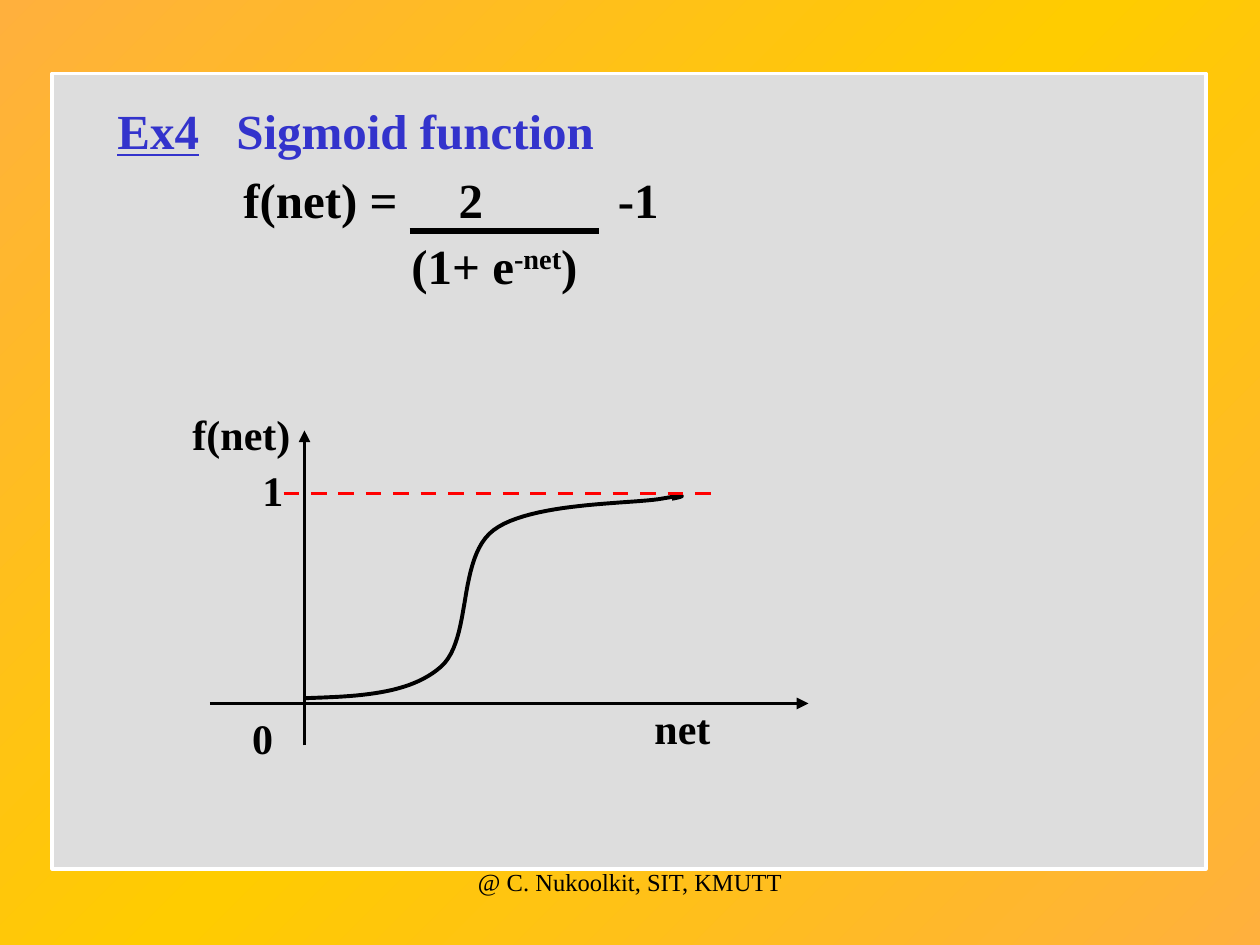
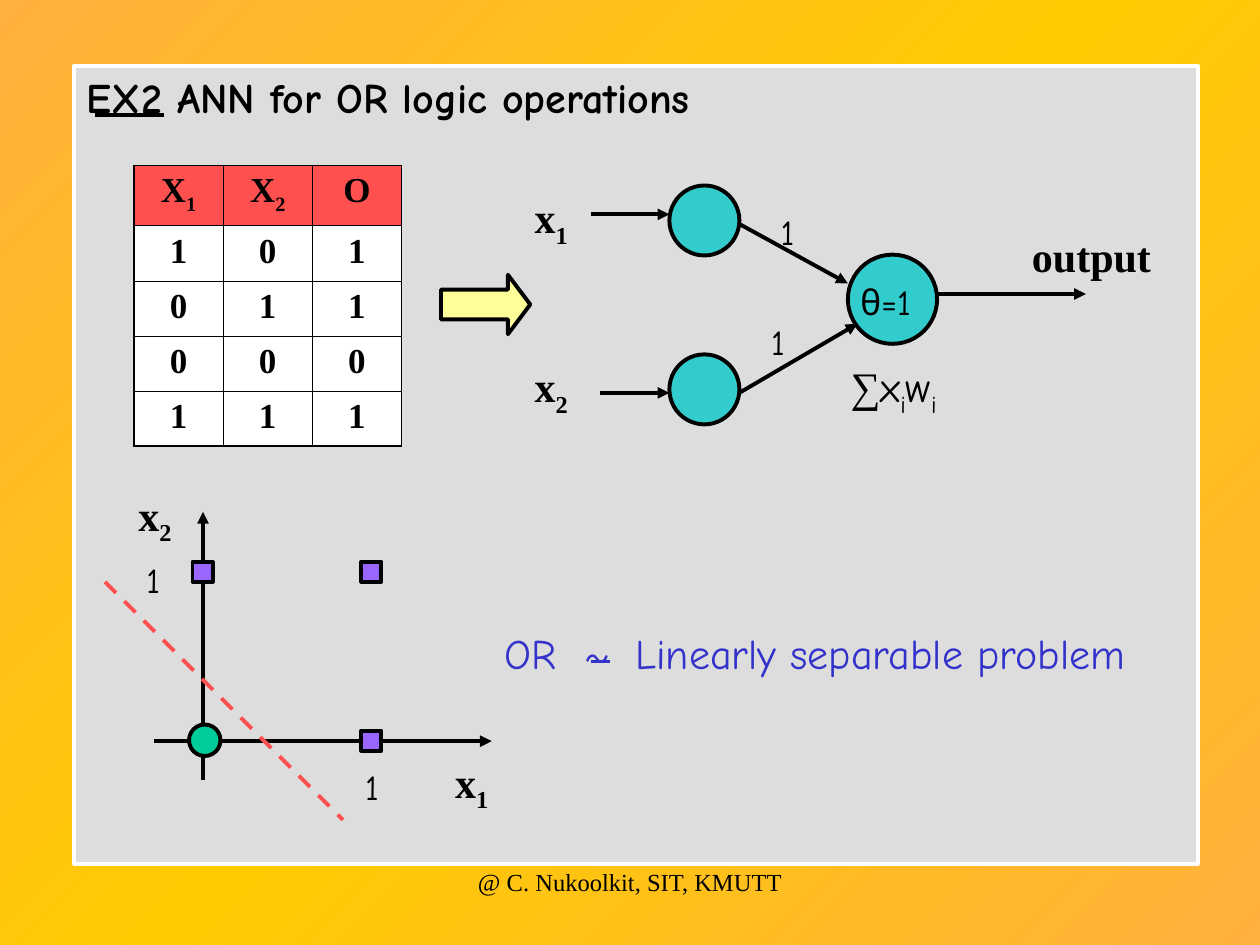
from copy import deepcopy
from dataclasses import dataclass

from lxml import etree
from pptx import Presentation
from pptx.dml.color import RGBColor
from pptx.enum import dml, shapes, text
from pptx.oxml.ns import qn
from pptx.util import Pt


@dataclass(frozen=True)
class Theme:
    serif: str = "Times New Roman"
    hand: str = "Comic Neue"
    black: str = "000000"
    white: str = "FFFFFF"
    blue: str = "3333CC"
    red: str = "FF0000"
    coral: str = "FF5050"
    panel: str = "DDDDDD"
    neuron: str = "33CCCC"
    arrow: str = "FFFF99"
    square: str = "9966FF"
    circle: str = "00CC99"
    edge: str = "FFB03D"
    middle: str = "FFCC00"
    heading: float = 28
    body: float = 24
    small: float = 20
    footer: float = 14
    stroke: float = 2.25
    outer_border: float = 1.08
    inner_border: float = 0.45


THEME = Theme()
SUBSCRIPT = -25
SUPERSCRIPT = 30
OVAL = shapes.MSO_SHAPE.OVAL
RECTANGLE = shapes.MSO_SHAPE.RECTANGLE


@dataclass(frozen=True)
class Box:
    left: float
    top: float
    width: float
    height: float

    def lengths(self) -> tuple:
        return Pt(self.left), Pt(self.top), Pt(self.width), Pt(self.height)


@dataclass(frozen=True)
class Style:
    size: float = THEME.body
    font: str = THEME.serif
    color: str = THEME.black
    bold: bool = False


@dataclass(frozen=True)
class Run:
    text: str
    baseline: int = 0
    underline: bool = False
    font: str = ""
    color: str = ""


@dataclass(frozen=True)
class Line:
    runs: tuple
    centered: bool = False
    spacing: float = 1
    before: float = 0
    indent: float = 0
    tabs: tuple = ()


@dataclass(frozen=True)
class Stroke:
    start: tuple
    end: tuple
    color: str = THEME.black
    width: float = THEME.stroke
    arrow: bool = False
    dashed: bool = False


BOLD = Style(bold=True)
HEADING = Style(THEME.heading, bold=True)
CELL = Style(THEME.small, bold=True)
WEIGHT = Style(THEME.small, THEME.hand)


def rgb(color: str) -> RGBColor:
    return RGBColor.from_string(color)


def write_line(paragraph, line: Line, style: Style) -> None:
    if line.centered:
        paragraph.alignment = text.PP_ALIGN.CENTER
    if line.spacing != 1:
        paragraph.line_spacing = line.spacing
    if line.before:
        paragraph.space_before = Pt(line.before)
    properties = paragraph._p.get_or_add_pPr()
    if line.indent:
        properties.set("marL", str(Pt(line.indent)))
    if line.tabs:
        tab_list = etree.SubElement(properties, qn("a:tabLst"))
        for position in line.tabs:
            etree.SubElement(tab_list, qn("a:tab"), pos=str(Pt(position)), algn="l")
    for item in line.runs:
        run = paragraph.add_run()
        run.text = item.text
        run.font.size = Pt(style.size)
        run.font.name = item.font or style.font
        run.font.bold = style.bold
        run.font.color.rgb = rgb(item.color or style.color)
        if item.underline:
            run.font.underline = True
        if item.baseline:
            run.font._element.set("baseline", str(item.baseline * 1000))


def add_text(slide, box: Box, lines: list[Line], style: Style) -> None:
    frame = slide.shapes.add_textbox(*box.lengths()).text_frame
    frame.word_wrap = True
    for index, line in enumerate(lines):
        paragraph = frame.add_paragraph() if index else frame.paragraphs[0]
        write_line(paragraph, line, style)


def add_label(slide, box: Box, label: str, style: Style, centered: bool = False, tabs: tuple = ()) -> None:
    add_text(slide, box, [Line((Run(label),), centered, tabs=tabs)], style)


def subscripted(letter: str, index: str) -> Line:
    return Line((Run(letter), Run(index, SUBSCRIPT)), centered=True)


def add_filled(slide, kind, box: Box, fill: str, line: str = THEME.black):
    shape = slide.shapes.add_shape(kind, *box.lengths())
    shape.shadow.inherit = False
    shape.fill.solid()
    shape.fill.fore_color.rgb = rgb(fill)
    shape.line.color.rgb = rgb(line)
    shape.line.width = Pt(THEME.stroke)
    return shape


def add_stroke(slide, stroke: Stroke) -> None:
    connector = slide.shapes.add_connector(
        shapes.MSO_CONNECTOR.STRAIGHT, *map(Pt, stroke.start + stroke.end))
    connector.line.color.rgb = rgb(stroke.color)
    connector.line.width = Pt(stroke.width)
    if stroke.dashed:
        connector.line.dash_style = dml.MSO_LINE.DASH
    if stroke.arrow:
        etree.SubElement(connector.line._get_or_add_ln(), qn("a:tailEnd"), type="triangle")
    etree.SubElement(connector._element.spPr, qn("a:effectLst"))


def add_curve(slide, start: tuple, segments: list[tuple], steps: int = 24) -> None:
    points = [start]
    for first, second, end in segments:
        origin = points[-1]
        for step in range(1, steps + 1):
            t = step / steps
            points.append(tuple(
                (1 - t) ** 3 * a + 3 * (1 - t) ** 2 * t * b + 3 * (1 - t) * t ** 2 * c + t ** 3 * d
                for a, b, c, d in zip(origin, first, second, end)))
    builder = slide.shapes.build_freeform(*map(Pt, start))
    builder.add_line_segments([(Pt(x), Pt(y)) for x, y in points[1:]], close=False)
    curve = builder.convert_to_shape()
    curve.shadow.inherit = False
    curve.fill.background()
    curve.line.color.rgb = rgb(THEME.black)
    curve.line.width = Pt(THEME.stroke)


def add_base_slide(presentation, panel: Box):
    slide = presentation.slides.add_slide(presentation.slide_layouts[6])
    fill = slide.background.fill
    fill.gradient()
    fill.gradient_angle = 135
    stop_list = next(slide._element.iter(qn("a:gsLst")))
    stop_list.append(deepcopy(stop_list[0]))
    colors = (THEME.edge, THEME.middle, THEME.edge)
    for stop, color, position in zip(fill.gradient_stops, colors, (0, 0.5, 1)):
        stop.color.rgb = rgb(color)
        stop.position = position
    add_filled(slide, RECTANGLE, panel, THEME.panel, THEME.white)
    add_label(slide, Box(246, 492, 228, 36), "@ C. Nukoolkit, SIT, KMUTT", Style(THEME.footer), centered=True)
    return slide


def add_truth_table(slide, box: Box, header_height: float, row_height: float) -> None:
    header = [subscripted("X", "1"), subscripted("X", "2"), Line((Run("O"),), True)]
    rows = [header] + [[Line((Run(digit),), True) for digit in row]
                       for row in ("101", "011", "000", "111")]
    last_row, last_column = len(rows) - 1, len(header) - 1
    table = slide.shapes.add_table(len(rows), len(header), *box.lengths()).table
    table.first_row = table.horz_banding = False
    for column in table.columns:
        column.width = Pt(box.width / len(header))
    for r, row in enumerate(rows):
        table.rows[r].height = Pt(row_height if r else header_height)
        for c, line in enumerate(row):
            cell = table.cell(r, c)
            cell.fill.solid()
            cell.fill.fore_color.rgb = rgb(THEME.white if r else THEME.coral)
            write_line(cell.text_frame.paragraphs[0], line, CELL)
            outer_sides = {"L": c == 0, "R": c == last_column, "T": r == 0, "B": r == last_row}
            for index, (side, outer) in enumerate(outer_sides.items()):
                width = THEME.outer_border if outer else THEME.inner_border
                border = etree.Element(qn(f"a:ln{side}"), w=str(Pt(width)))
                solid = etree.SubElement(border, qn("a:solidFill"))
                etree.SubElement(solid, qn("a:srgbClr"), val=THEME.black)
                cell._tc.get_or_add_tcPr().insert(index, border)


def build_sigmoid(presentation) -> None:
    slide = add_base_slide(presentation, Box(30, 42, 659, 454.5))
    add_text(slide, Box(60, 54, 636, 117), [
        Line((Run("Ex4", underline=True, color=THEME.blue),
              Run("\tSigmoid function", color=THEME.blue)), tabs=(68,)),
        Line((Run("\tf(net) =\t2\t-1"),), spacing=0.6, before=17.5, tabs=(72, 195, 286)),
        Line((Run("(1+ e"), Run("-net", SUPERSCRIPT), Run(")")),
             spacing=0.6, before=17.5, indent=168),
    ], HEADING)
    add_stroke(slide, Stroke((174, 426), (174, 246), arrow=True))
    add_stroke(slide, Stroke((120, 402), (462, 402), arrow=True))
    add_curve(slide, (174, 399), [
        ((204, 398), (234, 397), (252, 381)),
        ((270, 365), (261, 319), (282, 303)),
        ((303, 287), (361, 288), (378, 285)),
        ((395, 282), (390, 284), (384, 285)),
    ])
    add_stroke(slide, Stroke((162, 282), (408, 282), THEME.red, dashed=True))
    add_text(slide, Box(84, 240, 108, 57), [
        Line((Run("f(net)"),), True, 0.6),
        Line((Run("1"),), True, 0.6, before=15, indent=36),
    ], BOLD)
    for label, left, top in (("net", 336, 408), ("0", 96, 414)):
        add_text(slide, Box(left, top, 108, 24.5), [Line((Run(label),), True, 0.6)], BOLD)
    add_stroke(slide, Stroke((234, 132), (342, 132), width=3))


def build_or_network(presentation) -> None:
    slide = add_base_slide(presentation, Box(42.5, 37.5, 642, 456))
    add_label(slide, Box(42.5, 37.5, 630, 36), "EX2 ANN for OR logic operations",
              Style(font=THEME.hand, bold=True))
    add_stroke(slide, Stroke((54, 65.5), (93.5, 65.5)))
    add_truth_table(slide, Box(76.5, 94.5, 153, 160.5), 34.5, 31.5)

    for left, top, size in ((382.5, 106, 40), (382.5, 202.5, 40), (484.5, 145.5, 51)):
        add_filled(slide, OVAL, Box(left, top, size, size), THEME.neuron)
    for start, end in (
        ((337.5, 122.5), (382.5, 122.5)),
        ((343, 224.5), (382.5, 224.5)),
        ((422.5, 128), (484.5, 162)),
        ((422.5, 224.5), (490, 185)),
        ((535.5, 168), (620.5, 168)),
        ((116, 445.5), (116, 292.5)),
        ((88, 423.5), (281, 423.5)),
    ):
        add_stroke(slide, Stroke(start, end, arrow=True))
    block_arrow = add_filled(slide, shapes.MSO_SHAPE.RIGHT_ARROW, Box(252, 157, 51, 34), THEME.arrow)
    block_arrow.adjustments[1] = 0.375

    for index, left, top in (("1", 286.5, 106), ("2", 286.5, 202.5), ("1", 241, 428.5), ("2", 60, 276)):
        add_text(slide, Box(left, top, 57, 40), [subscripted("x", index)], BOLD)
    add_label(slide, Box(575.5, 128, 96.5, 36), "output", BOLD, centered=True)
    add_text(slide, Box(479, 202.5, 73.5, 40), [Line((
        Run("∑", font=THEME.serif), Run("x"), Run("i", SUBSCRIPT), Run("w"), Run("i", SUBSCRIPT),
    ))], Style(font=THEME.hand))
    add_label(slide, Box(484.5, 157, 67.5, 31.5), "θ=1", WEIGHT)
    for left, top in ((433.5, 179.5), (439, 116.5), (201.5, 434), (76.5, 315.5)):
        add_label(slide, Box(left, top, 34, 31.5), "1", WEIGHT)

    for left, top in ((110, 321), (206.5, 321), (206.5, 417.5)):
        add_filled(slide, RECTANGLE, Box(left, top, 11.5, 11.5), THEME.square)
    add_stroke(slide, Stroke((60, 332.5), (196, 468.5), THEME.coral, dashed=True))
    add_filled(slide, OVAL, Box(108, 414, 18, 18), THEME.circle)
    add_label(slide, Box(281, 355, 414, 36), "OR\t~\tLinearly separable problem",
              Style(font=THEME.hand, color=THEME.blue), tabs=(46, 75))
    add_stroke(slide, Stroke((337.5, 378), (348.5, 378), THEME.blue))


def main() -> None:
    presentation = Presentation()
    presentation.slide_width = Pt(720)
    presentation.slide_height = Pt(540)
    build_sigmoid(presentation)
    build_or_network(presentation)
    presentation.save("out.pptx")


if __name__ == "__main__":
    main()
